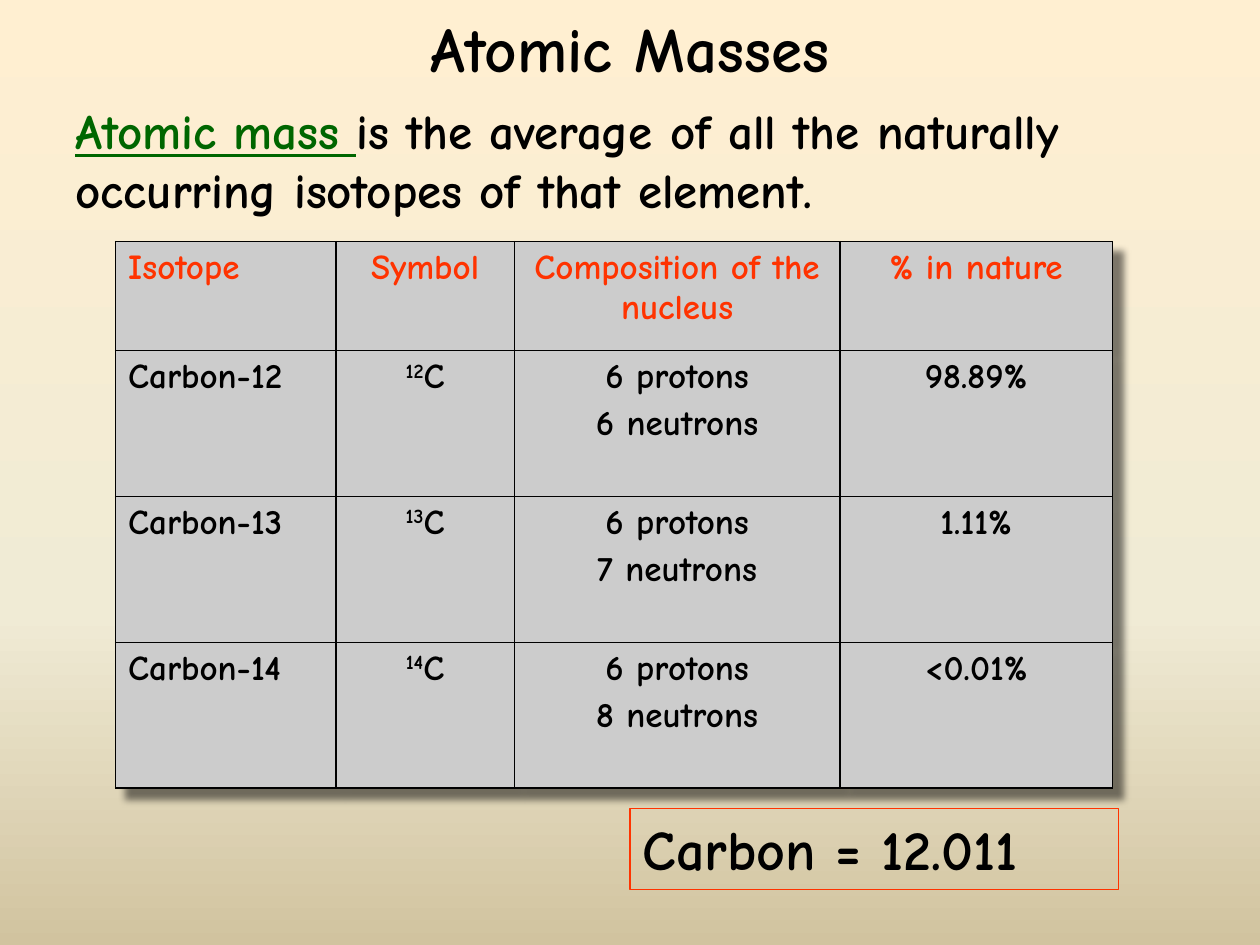
from lxml import etree
from pptx import Presentation
from pptx.dml.color import RGBColor
from pptx.enum.shapes import MSO_SHAPE
from pptx.enum.text import MSO_ANCHOR, PP_ALIGN
from pptx.oxml import parse_xml
from pptx.util import Cm, Pt

LEFT, CENTER = PP_ALIGN.LEFT, PP_ALIGN.CENTER
TOP, MIDDLE = MSO_ANCHOR.TOP, MSO_ANCHOR.MIDDLE
RECTANGLE = MSO_SHAPE.RECTANGLE
TITLE_ONLY = 5
FONT = "Comic Neue"
BLACK, RED, GREEN, GREY = "000000", "FF3300", "006600", "CCCCCC"
DRAWING = "http://schemas.openxmlformats.org/drawingml/2006/main"

TITLE = "Atomic Masses"
TERM = "Atomic mass "
DEFINITION = "is the average of all the naturally occurring isotopes of that element."
RESULT = "Carbon = 12.011"
HEADINGS = ["Isotope", "Symbol", "Composition of the nucleus", "% in nature"]
ISOTOPES = [(12, 6, "98.89%"), (13, 7, "1.11%"), (14, 8, "<0.01%")]
BACKGROUND = [(0, "FFEFD1"), (65, "F0EBD5"), (100, "D1C39F")]
COLUMN_WIDTHS = [4.44, 3.6, 6.56, 5.5]
ROW_HEIGHTS = [2.2] + [2.94] * len(ISOTOPES)


def color(value):
    return RGBColor.from_string(value)


def place(shape, left, top, width, height):
    shape.left, shape.top = Cm(left), Cm(top)
    shape.width, shape.height = Cm(width), Cm(height)


def style(span, size, tint=BLACK):
    span.font.name = FONT
    span.font.size = Pt(size)
    span.font.bold = True
    span.font.color.rgb = color(tint)


def add_span(para, text, size, tint=BLACK):
    span = para.add_run()
    span.text = text
    style(span, size, tint)
    return span


def paint_background(page):
    page.background.fill.gradient()
    gradient = page.element.xpath(".//p:bgPr/a:gradFill")[0]
    stops = "".join(
        f'<a:gs pos="{position * 1000}"><a:srgbClr val="{value}"/></a:gs>'
        for position, value in BACKGROUND
    )
    gradient.getparent().replace(gradient, parse_xml(
        f'<a:gradFill xmlns:a="{DRAWING}" rotWithShape="1"><a:gsLst>{stops}</a:gsLst>'
        '<a:lin ang="5400000" scaled="0"/></a:gradFill>'
    ))


def format_cell(cell):
    cell.fill.solid()
    cell.fill.fore_color.rgb = color(GREY)
    properties = cell._tc.get_or_add_tcPr()
    for index, side in enumerate(["lnL", "lnR", "lnT", "lnB"]):
        properties.insert(index, parse_xml(
            f'<a:{side} xmlns:a="{DRAWING}" w="12700"><a:solidFill>'
            f'<a:srgbClr val="{BLACK}"/></a:solidFill></a:{side}>'
        ))


def fill_cell(cell, text, alignment, tint):
    cell.text_frame.text = text
    for para in cell.text_frame.paragraphs:
        para.alignment = alignment
        para.space_before = Pt(4)
        for span in para.runs:
            style(span, 20, tint)
    format_cell(cell)


def add_isotope_table(page):
    rows = [HEADINGS] + [
        [f"Carbon-{mass}", f"{mass}C", f"6 protons\n{neutrons} neutrons", share]
        for mass, neutrons, share in ISOTOPES
    ]
    frame = page.shapes.add_table(
        len(rows), len(HEADINGS), Cm(2.33), Cm(4.87),
        Cm(sum(COLUMN_WIDTHS)), Cm(sum(ROW_HEIGHTS)),
    )
    table = frame.table
    table.first_row = table.horz_banding = False
    for column, width in zip(table.columns, COLUMN_WIDTHS):
        column.width = Cm(width)
    for row, height in zip(table.rows, ROW_HEIGHTS):
        row.height = Cm(height)
    for row_index, values in enumerate(rows):
        for column_index, text in enumerate(values):
            fill_cell(
                table.cell(row_index, column_index), text,
                CENTER if column_index else LEFT, BLACK if row_index else RED,
            )
    for row_index, (mass, _, _) in enumerate(ISOTOPES, 1):
        para = table.cell(row_index, 1).text_frame.paragraphs[0]
        para.runs[0].text = str(mass)
        para.runs[0]._r.get_or_add_rPr().set("baseline", "30000")
        add_span(para, "C", 20)
    frame.element.xpath(".//a:tblPr")[0].insert(0, parse_xml(
        f'<a:effectLst xmlns:a="{DRAWING}"><a:outerShdw blurRad="50800" dist="107950" '
        f'dir="2700000" algn="tl" rotWithShape="0"><a:srgbClr val="{BLACK}">'
        '<a:alpha val="50000"/></a:srgbClr></a:outerShdw></a:effectLst>'
    ))


def main():
    deck = Presentation()
    deck.slide_width, deck.slide_height = Cm(25.4), Cm(19.05)
    page = deck.slides.add_slide(deck.slide_layouts[TITLE_ONLY])
    paint_background(page)

    title = page.shapes.title
    place(title, 7.2, 0, 11, 1.9)
    title.text_frame.vertical_anchor = MIDDLE
    title.text_frame.word_wrap = True
    para = title.text_frame.paragraphs[0]
    para.alignment = CENTER
    add_span(para, TITLE, 36)

    add_isotope_table(page)

    box = page.shapes.add_textbox(Cm(1.27), Cm(1.9), Cm(22.65), Cm(2.64))
    box.text_frame.word_wrap = True
    para = box.text_frame.paragraphs[0]
    add_span(para, TERM, 28, GREEN).font.underline = True
    add_span(para, DEFINITION, 28)

    result = page.shapes.add_shape(RECTANGLE, Cm(12.7), Cm(16.3), Cm(9.85), Cm(1.63))
    result.shadow.inherit = False
    result.fill.background()
    result.line.color.rgb = color(RED)
    result.line.width = Pt(0.75)
    result.text_frame.word_wrap = True
    result.text_frame.vertical_anchor = TOP
    para = result.text_frame.paragraphs[0]
    para.alignment = LEFT
    add_span(para, RESULT, 32)

    deck.save("out.pptx")


if __name__ == "__main__":
    main()
